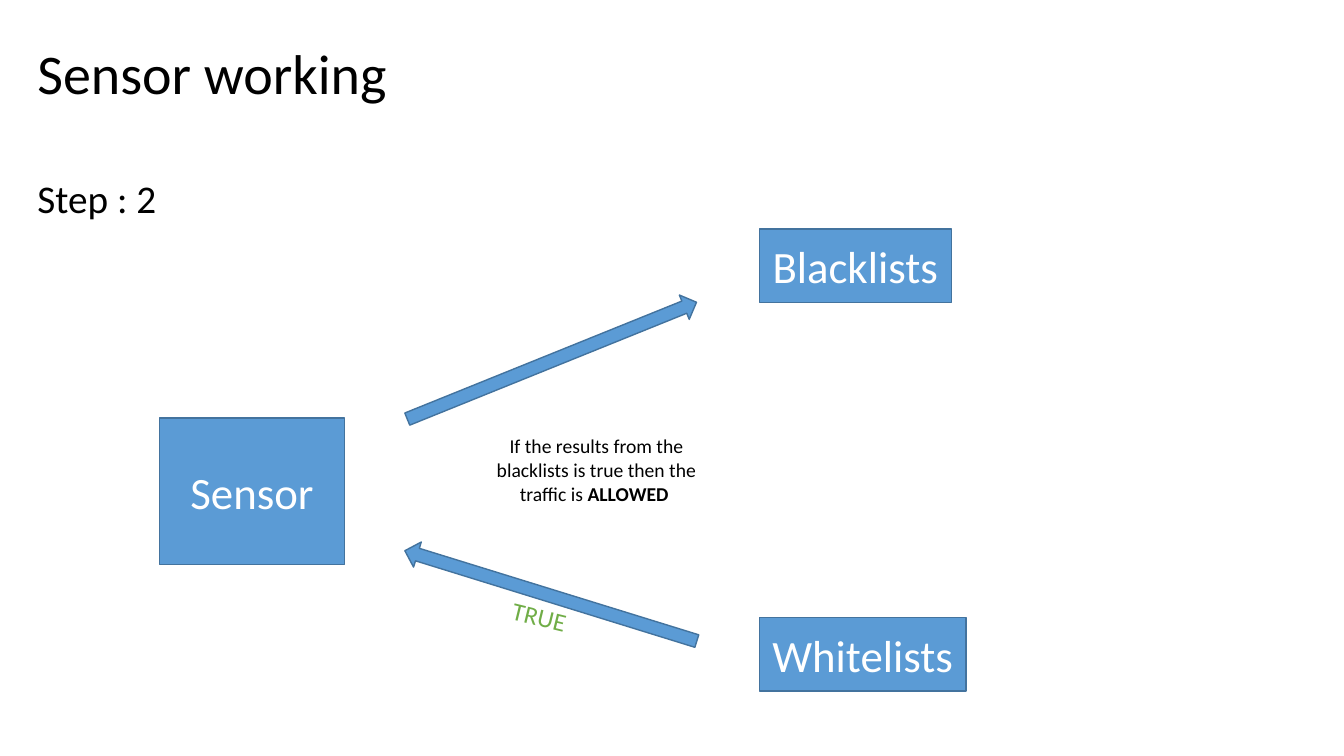
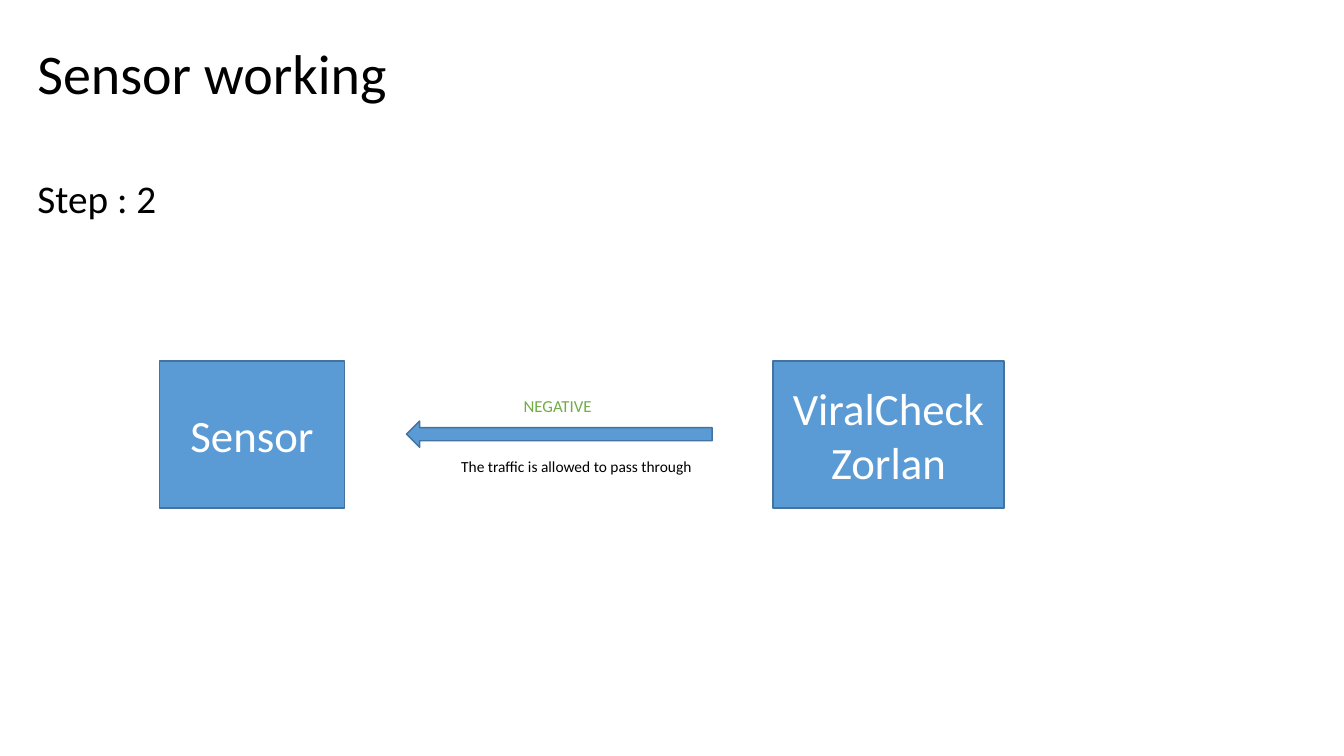
from dataclasses import dataclass
from typing import NamedTuple

from pptx import Presentation
from pptx.dml.color import RGBColor
from pptx.enum.shapes import MSO_SHAPE
from pptx.enum.text import MSO_ANCHOR, MSO_AUTO_SIZE, PP_ALIGN
from pptx.oxml import parse_xml
from pptx.oxml.ns import nsdecls
from pptx.util import Inches, Pt

# The slide is a grid of square cells
SLIDE_WIDTH, SLIDE_HEIGHT = Inches(13.33), Inches(7.5)
ROWS = 36
CELL = SLIDE_HEIGHT / ROWS


@dataclass(frozen=True)
class Theme:
    font: str = "Calibri"
    text: RGBColor = RGBColor(0x00, 0x00, 0x00)
    box_text: RGBColor = RGBColor(0xFF, 0xFF, 0xFF)
    fill: RGBColor = RGBColor(0x5B, 0x9B, 0xD5)
    line: RGBColor = RGBColor(0x43, 0x73, 0x9E)
    verdict: RGBColor = RGBColor(0x70, 0xAD, 0x47)
    line_width: float = 1
    title_size: int = 40
    step_size: int = 28
    box_size: int = 32


THEME = Theme()


class Area(NamedTuple):
    """A place on the slide, in columns and rows of the grid."""
    column: float
    row: float
    columns: float
    rows: float


class Box(NamedTuple):
    text: str
    area: Area


class Arrow(NamedTuple):
    column: float
    row: float
    columns: float
    rotation: float


class Label(NamedTuple):
    text: str
    area: Area
    size: int
    color: RGBColor = THEME.text
    bold_ending: str = ""
    alignment: PP_ALIGN = PP_ALIGN.CENTER
    rotation: float = 0


class Diagram(NamedTuple):
    title: str
    step: str
    boxes: list[Box]
    arrows: list[Arrow]
    labels: list[Label]


TITLE_AREA = Area(1.3, 1.6, 58.2, 3.7)
STEP_AREA = Area(1.3, 8.05, 12.5, 2.7)
ARROW_ROWS = 1.25


def sensor(row: float) -> Box:
    return Box("Sensor", Area(7.6, row, 8.8, 7))


DIAGRAMS = [
    Diagram(
        "Sensor working", "Step : 2",
        boxes=[
            sensor(19.9),
            Box("Whitelists", Area(36.15, 29.4, 9.85, 3.5)),
            Box("Blacklists", Area(36.15, 10.9, 9.15, 3.5)),
        ],
        arrows=[Arrow(18.85, 16.55, 14.85, 338), Arrow(18.95, 27.75, 14.55, 197.2)],
        labels=[
            Label("If the results from the blacklists is true then the traffic is ",
                  Area(22.05, 20.45, 12.7, 3.9), 14, bold_ending="ALLOWED "),
            Label("TRUE", Area(23.9, 28.5, 4.65, 1.9), 18, THEME.verdict,
                  alignment=PP_ALIGN.LEFT, rotation=13.7),
        ],
    ),
    Diagram(
        "Sensor working", "Step : 2",
        boxes=[sensor(17.2), Box("ViralCheck Zorlan", Area(36.8, 17.2, 11, 7))],
        arrows=[Arrow(19.35, 20.05, 14.55, 180)],
        labels=[
            Label("NEGATIVE", Area(20.2, 18.6, 12.7, 1.45), 12, THEME.verdict),
            Label("The traffic is allowed to pass through",
                  Area(21.1, 21.55, 12.7, 1.4), 11),
        ],
    ),
]


def measure(area: Area) -> list[int]:
    return [round(cells * CELL) for cells in area]


def format_paragraph(paragraph, size: int, color: RGBColor, alignment: PP_ALIGN) -> None:
    paragraph.alignment = alignment
    paragraph.font.name = THEME.font
    paragraph.font.size = Pt(size)
    paragraph.font.color.rgb = color


def prepare_layout(layout) -> None:
    """Place the title and step placeholders once for all slides."""
    for placeholder, area in zip(layout.placeholders, (TITLE_AREA, STEP_AREA)):
        placeholder.left, placeholder.top, placeholder.width, placeholder.height = measure(area)
        frame = placeholder.text_frame
        frame.vertical_anchor = MSO_ANCHOR.TOP
        frame.auto_size = MSO_AUTO_SIZE.NONE


def fill_placeholder(placeholder, text: str, size: int) -> None:
    placeholder.text_frame.text = text
    paragraph = placeholder.text_frame.paragraphs[0]
    format_paragraph(paragraph, size, THEME.text, PP_ALIGN.LEFT)
    paragraph.space_before = Pt(0)


def remove_bullet(paragraph) -> None:
    properties = paragraph._p.get_or_add_pPr()
    properties.set("marL", "0")
    properties.set("indent", "0")
    bullet = parse_xml(f"<a:buNone {nsdecls('a')}/>")
    properties.insert_element_before(bullet, "a:tabLst", "a:defRPr", "a:extLst")


def add_filled_shape(slide, kind: MSO_SHAPE, area: Area):
    shape = slide.shapes.add_shape(kind, *measure(area))
    shape.shadow.inherit = False
    shape.fill.solid()
    shape.fill.fore_color.rgb = THEME.fill
    shape.line.color.rgb = THEME.line
    shape.line.width = Pt(THEME.line_width)
    return shape


def draw_box(slide, box: Box) -> None:
    frame = add_filled_shape(slide, MSO_SHAPE.RECTANGLE, box.area).text_frame
    frame.text = box.text
    frame.word_wrap = True
    frame.vertical_anchor = MSO_ANCHOR.MIDDLE
    format_paragraph(frame.paragraphs[0], THEME.box_size, THEME.box_text, PP_ALIGN.CENTER)


def draw_arrow(slide, arrow: Arrow) -> None:
    area = Area(arrow.column, arrow.row, arrow.columns, ARROW_ROWS)
    add_filled_shape(slide, MSO_SHAPE.RIGHT_ARROW, area).rotation = arrow.rotation


def draw_label(slide, label: Label) -> None:
    text_box = slide.shapes.add_textbox(*measure(label.area))
    text_box.rotation = label.rotation
    frame = text_box.text_frame
    frame.word_wrap = True
    frame.text = label.text
    paragraph = frame.paragraphs[0]
    format_paragraph(paragraph, label.size, label.color, label.alignment)
    if label.bold_ending:
        run = paragraph.add_run()
        run.text = label.bold_ending
        run.font.bold = True


def build_slide(presentation, layout, diagram: Diagram) -> None:
    slide = presentation.slides.add_slide(layout)

    # Heading
    title, step = slide.placeholders
    fill_placeholder(title, diagram.title, THEME.title_size)
    fill_placeholder(step, diagram.step, THEME.step_size)
    remove_bullet(step.text_frame.paragraphs[0])

    # Diagram
    for box in diagram.boxes:
        draw_box(slide, box)
    for arrow in diagram.arrows:
        draw_arrow(slide, arrow)
    for label in diagram.labels:
        draw_label(slide, label)


def main() -> None:
    presentation = Presentation()
    presentation.slide_width, presentation.slide_height = SLIDE_WIDTH, SLIDE_HEIGHT
    layout = presentation.slide_layouts.get_by_name("Title and Content")
    prepare_layout(layout)
    for diagram in DIAGRAMS:
        build_slide(presentation, layout, diagram)
    presentation.save("out.pptx")


if __name__ == "__main__":
    main()
